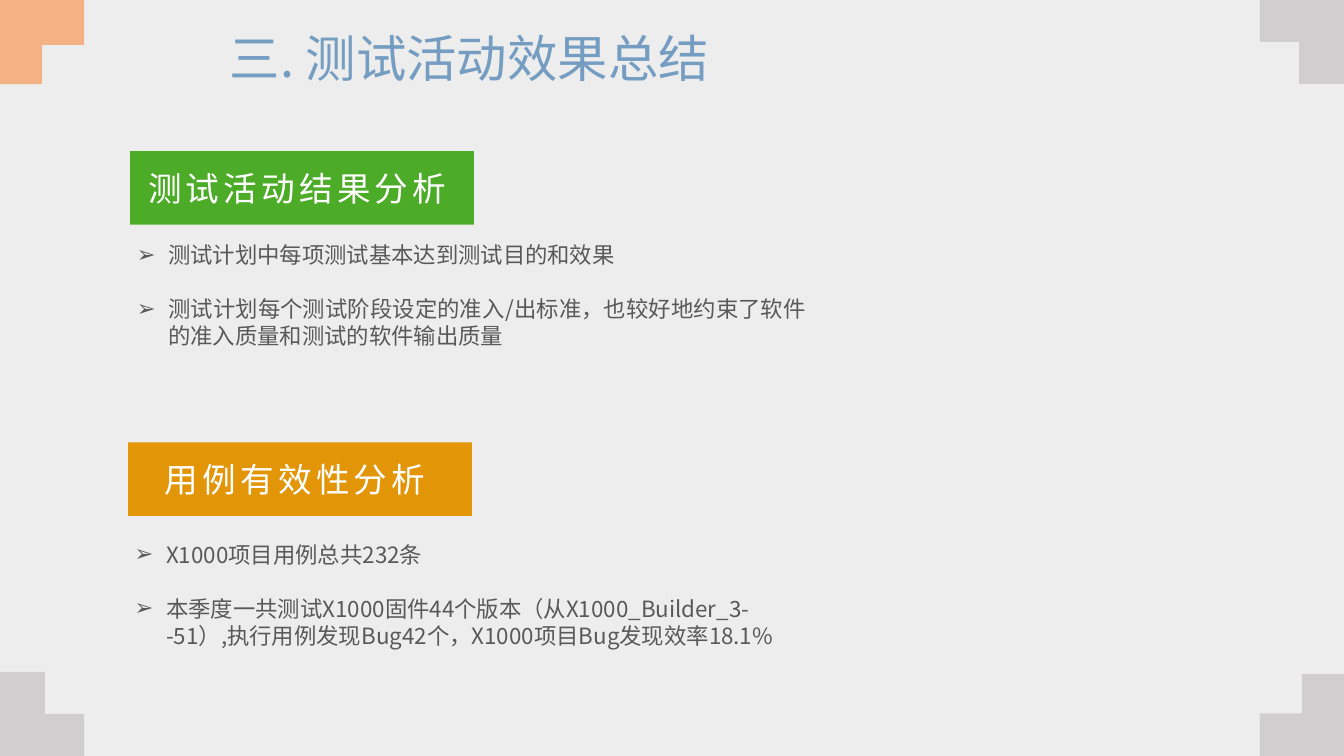
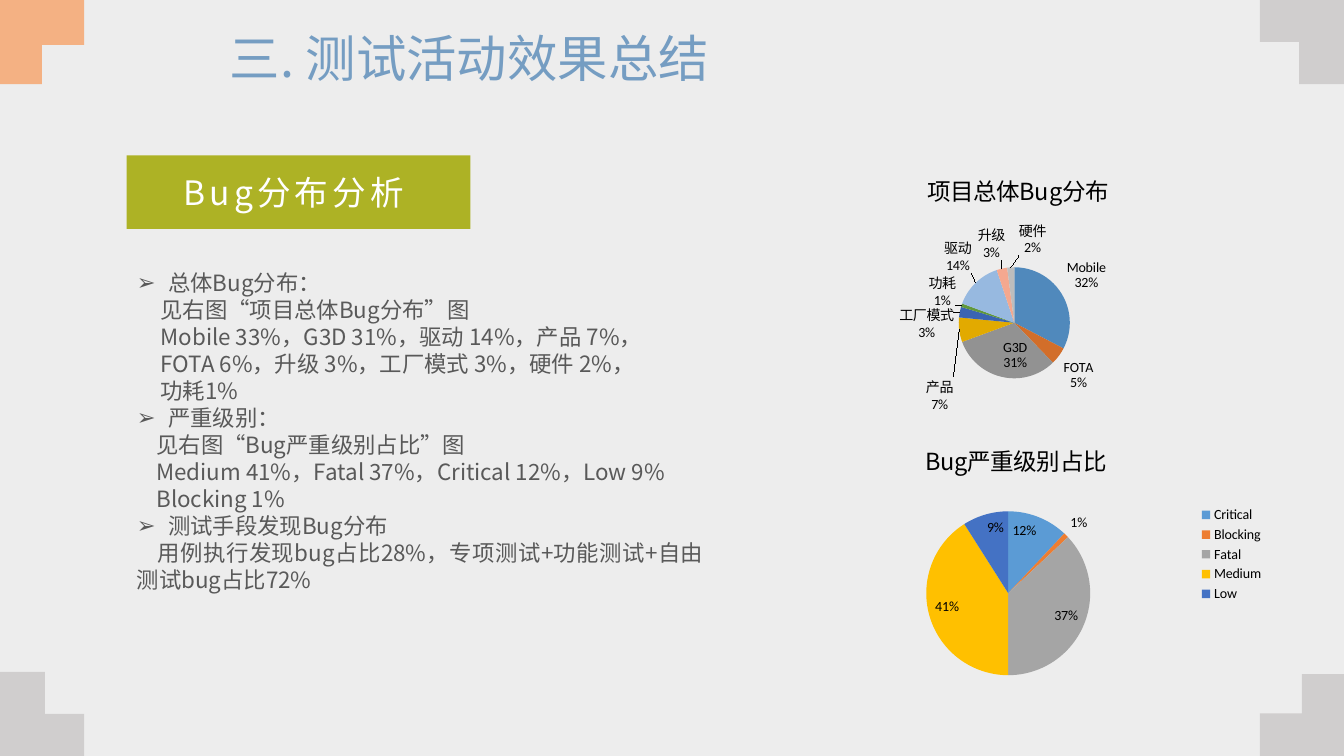
from lxml import etree
from pptx import Presentation
from pptx.chart.data import CategoryChartData
from pptx.dml.color import RGBColor
from pptx.enum import chart as ch, shapes, text
from pptx.oxml.ns import qn
from pptx.util import Pt

# Content
TITLE = "三. 测试活动效果总结"
OUT, IN = ch.XL_LABEL_POSITION.OUTSIDE_END, ch.XL_LABEL_POSITION.INSIDE_END

# heading: (text, left, top, fill); body: left, top, width, height, gap, (style, text) lines
SLIDES = [
    {"layout": 3, "sections": [
        {"heading": ("测试活动结果分析", 93, 108, "green"),
         "box": (90.5, 168.5, 492.5, 85), "gap": 19.3,
         "lines": [
             ("bullet", "测试计划中每项测试基本达到测试目的和效果"),
             ("bullet", "测试计划每个测试阶段设定的准入/出标准，也较好地约束了软件的准入质量和测试的软件输出质量")]},
        {"heading": ("用例有效性分析", 91.5, 316, "orange"),
         "box": (89, 382.5, 489, 85), "gap": 19.3,
         "lines": [
             ("bullet", "X1000项目用例总共232条"),
             ("ragged", "本季度一共测试X1000固件44个版本（从X1000_Builder_3--51）,"
                        "执行用例发现Bug42个，X1000项目Bug发现效率18.1%")]}],
     "charts": []},
    {"layout": 1, "sections": [
        {"heading": ("Bug分布分析", 90.5, 111, "olive"),
         "box": (90.5, 188.5, 419, 298), "gap": 0,
         "lines": [
             ("bullet", "总体Bug分布："),
             ("detail", "见右图“项目总体Bug分布”图"),
             ("detail", "Mobile 33%，G3D 31%，驱动 14%，产品 7%，"),
             ("detail", "FOTA 6%，升级 3%，工厂模式 3%，硬件 2%，"),
             ("detail", "功耗1%"),
             ("bullet", "严重级别："),
             ("note", "见右图“Bug严重级别占比”图"),
             ("note", "Medium 41%，Fatal 37%，Critical 12%，Low 9%"),
             ("note", "Blocking 1%"),
             ("bullet", "测试手段发现Bug分布"),
             ("first", "用例执行发现bug占比28%，专项测试+功能测试+自由测试bug占比72%")]}],
     "charts": [
         {"title": "Bug严重级别占比", "box": (591, 300, 319, 192), "legend": True,
          "title_at": (.21, .06), "pie_at": (.22, .34, .37, .61),
          "names": False, "position": IN, "labels": {1: (OUT, 0, 0)},
          "slices": [("Critical", 12, "5B9BD5"), ("Blocking", 1, "ED7D31"),
                     ("Fatal", 37, "A5A5A5"), ("Medium", 41, "FFC000"),
                     ("Low", 9, "4472C4")]},
         {"title": "项目总体Bug分布", "box": (561, 111, 317.5, 194.5), "legend": False,
          "title_at": (.31, .04), "pie_at": (.39, .41, .25, .41),
          "names": True, "position": OUT,
          "labels": {2: (IN, 0, 0), 3: (OUT, 0, .17), 4: (OUT, 0, .11),
                     5: (OUT, 0, .02), 6: (OUT, 0, -.02), 7: (OUT, .01, -.01),
                     8: (OUT, .05, -.02)},
          "slices": [("Mobile", 32, "5089BC"), ("FOTA", 5, "D26E2A"),
                     ("G3D", 31, "929292"), ("产品", 7, "E2AA00"),
                     ("工厂模式", 3, "3A64B2"), ("功耗", 1, "61983B"),
                     ("驱动", 14, "97B9E0"), ("升级", 3, "F4A88F"),
                     ("硬件", 2, "BDBDBD")]}]},
]

# Shared look
COLORS = {"page": "EDEDED", "corner": "D0CECE", "accent": "F4B183", "title": "759DC2",
          "body": "595959", "white": "FFFFFF", "black": "000000",
          "green": "4CAB27", "orange": "E39508", "olive": "ADB225"}
FONT = "Noto Sans CJK SC"
WIDTH, HEIGHT, CORNER = 960, 540, 60
HEADING_SIZE = (245.5, 52.5)
LINE = 19.3
PERCENT = '0"%"'
# corner x, corner y, direction x, direction y, arm width, arm height, colour
CORNERS = [(0, HEIGHT, 1, -1, 32, 30, "corner"), (0, 0, 1, 1, 30, 32, "accent"),
           (WIDTH, 0, -1, 1, 32, 30, "corner"),
           (WIDTH, HEIGHT + 1.5, -1, -1, 30, 32, "corner")]
# left margin, first-line indent, bullet, alignment
JUSTIFY, LEFT = text.PP_ALIGN.JUSTIFY, text.PP_ALIGN.LEFT
STYLES = {"bullet": (22.5, -22.5, True, JUSTIFY), "ragged": (22.5, -22.5, True, LEFT),
          "detail": (17, 0, False, JUSTIFY), "note": (14, 0, False, JUSTIFY),
          "first": (0, 15, False, JUSTIFY)}


def rgb(name):
    return RGBColor.from_string(COLORS.get(name, name))


def points(values):
    return [Pt(value) for value in values]


def apply(target, formats):
    for name, value in formats.items():
        setattr(target, name, value)


def place(shape, box):
    apply(shape, dict(zip(("left", "top", "width", "height"), points(box))))


def paint(shape, color):
    shape.fill.solid()
    shape.fill.fore_color.rgb = rgb(color)
    shape.line.fill.background()
    shape.shadow.inherit = False


def write(paragraph, words, size, color, spacing=None):
    run = paragraph.add_run()
    run.text = words
    apply(run.font, {"size": Pt(size), "name": FONT, "bold": False})
    run.font.color.rgb = rgb(color)
    props = run.font._element
    etree.SubElement(props, qn("a:ea")).set("typeface", FONT)
    if spacing:
        props.set("spc", str(spacing * 100))


def add_corners(slide, master):
    for x, y, dx, dy, arm_w, arm_h, color in CORNERS:
        outline = [(0, 0), (CORNER, 0), (CORNER, arm_h), (arm_w, arm_h),
                   (arm_w, CORNER), (0, CORNER)]
        spots = [points((x + dx * a, y + dy * b)) for a, b in outline]
        builder = slide.shapes.build_freeform(*spots[0], scale=1.0)
        builder.add_line_segments(spots[1:], close=True)
        corner = builder.convert_to_shape()
        paint(corner, color)
        master.shapes.element.insert(2, corner.element)


def add_title(slide):
    title = slide.shapes.title
    place(title, (157, 20, 646.5, 48))
    apply(title.text_frame, {"auto_size": text.MSO_AUTO_SIZE.NONE,
                             "vertical_anchor": text.MSO_ANCHOR.MIDDLE})
    paragraph = title.text_frame.paragraphs[0]
    apply(paragraph, {"alignment": LEFT, "line_spacing": .9})
    write(paragraph, TITLE, 36, "title")


def add_heading(slide, words, left, top, color):
    banner = slide.shapes.add_shape(shapes.MSO_SHAPE.RECTANGLE,
                                    *points((left, top) + HEADING_SIZE))
    paint(banner, color)
    apply(banner.text_frame, {"word_wrap": False, "margin_right": Pt(14),
                              "vertical_anchor": text.MSO_ANCHOR.MIDDLE})
    paragraph = banner.text_frame.paragraphs[0]
    paragraph.alignment = text.PP_ALIGN.CENTER
    write(paragraph, words, 24, "white", spacing=3)


def fill_body(body, box, lines, gap):
    place(body, box)
    frame = body.text_frame
    apply(frame, {"auto_size": text.MSO_AUTO_SIZE.NONE, "word_wrap": True,
                  "vertical_anchor": text.MSO_ANCHOR.TOP})
    for number, (style, words) in enumerate(lines):
        paragraph = frame.add_paragraph() if number else frame.paragraphs[0]
        margin, indent, bullet, alignment = STYLES[style]
        apply(paragraph, {"alignment": alignment, "line_spacing": Pt(LINE),
                          "space_before": Pt(gap if number else 0)})
        props = paragraph._p.get_or_add_pPr()
        props.set("marL", str(Pt(margin)))
        props.set("indent", str(Pt(indent)))
        mark = etree.SubElement(props, qn("a:buChar" if bullet else "a:buNone"))
        if bullet:
            mark.set("char", "➢")
        write(paragraph, words, 16, "body")


def set_layout(parent, index, values, edge=True):
    """Place a chart part by fractions of the chart's size."""
    for old in parent.findall(qn("c:layout")):
        parent.remove(old)
    layout = etree.Element(qn("c:layout"))
    manual = etree.SubElement(layout, qn("c:manualLayout"))
    settings = list(zip("xywh", values))
    if edge:
        settings = [("xMode", "edge"), ("yMode", "edge")] + settings
    if len(values) == 4:
        settings.insert(0, ("layoutTarget", "inner"))
    for tag, value in settings:
        etree.SubElement(manual, qn("c:" + tag)).set("val", str(value))
    parent.insert(index, layout)


def add_separator(labels):
    separator = etree.Element(qn("c:separator"))
    separator.text = "\n"
    labels.find(qn("c:showBubbleSize")).addnext(separator)


def add_pie(slide, pie):
    data = CategoryChartData(number_format=PERCENT)
    names, values, colors = zip(*pie["slices"])
    data.categories = names
    data.add_series("Series 1", values)
    chart = slide.shapes.add_chart(ch.XL_CHART_TYPE.PIE, *points(pie["box"]), data).chart
    apply(chart.font, {"size": Pt(10), "name": "Calibri"})
    chart.font.color.rgb = rgb("black")

    # Title, legend and plot area
    write(chart.chart_title.text_frame.paragraphs[0], pie["title"], 16.8, "black")
    set_layout(chart.chart_title._element, 1, pie["title_at"])
    chart.has_legend = pie["legend"]
    if pie["legend"]:
        apply(chart.legend, {"position": ch.XL_LEGEND_POSITION.RIGHT,
                             "include_in_layout": False})
    set_layout(chart._chartSpace.chart.plotArea, 0, pie["pie_at"])

    # Slices and labels
    plot = chart.plots[0]
    plot.vary_by_categories = True
    series = plot.series[0]
    for number, color in enumerate(colors):
        fill = series.points[number].format.fill
        fill.solid()
        fill.fore_color.rgb = rgb(color)
    labels = series.data_labels
    apply(labels, {"show_value": True, "show_category_name": pie["names"],
                   "number_format": PERCENT, "number_format_is_linked": False,
                   "position": pie["position"]})
    add_separator(labels._element)
    for number, (position, dx, dy) in pie["labels"].items():
        series.points[number].data_label.position = position
        label = labels._element.find(f"{qn('c:dLbl')}[{qn('c:idx')}]")
        label = next(item for item in labels._element.findall(qn("c:dLbl"))
                     if item.find(qn("c:idx")).get("val") == str(number))
        label.find(qn("c:showCatName")).set("val", str(int(pie["names"])))
        number_format = etree.Element(qn("c:numFmt"), formatCode=PERCENT, sourceLinked="0")
        label.insert(1, number_format)
        if dx or dy:
            set_layout(label, 1, (dx, dy), edge=False)
        add_separator(label)


def main():
    deck = Presentation()
    apply(deck, {"slide_width": Pt(WIDTH), "slide_height": Pt(HEIGHT)})
    master = deck.slide_master
    master.background.fill.solid()
    master.background.fill.fore_color.rgb = rgb("page")
    for number, content in enumerate(SLIDES):
        slide = deck.slides.add_slide(deck.slide_layouts[content["layout"]])
        if number == 0:
            add_corners(slide, master)
        add_title(slide)
        for index, section in enumerate(content["sections"], 1):
            add_heading(slide, *section["heading"])
            fill_body(slide.placeholders[index], section["box"],
                      section["lines"], section["gap"])
        for pie in content["charts"]:
            add_pie(slide, pie)
    deck.save("out.pptx")


if __name__ == "__main__":
    main()
